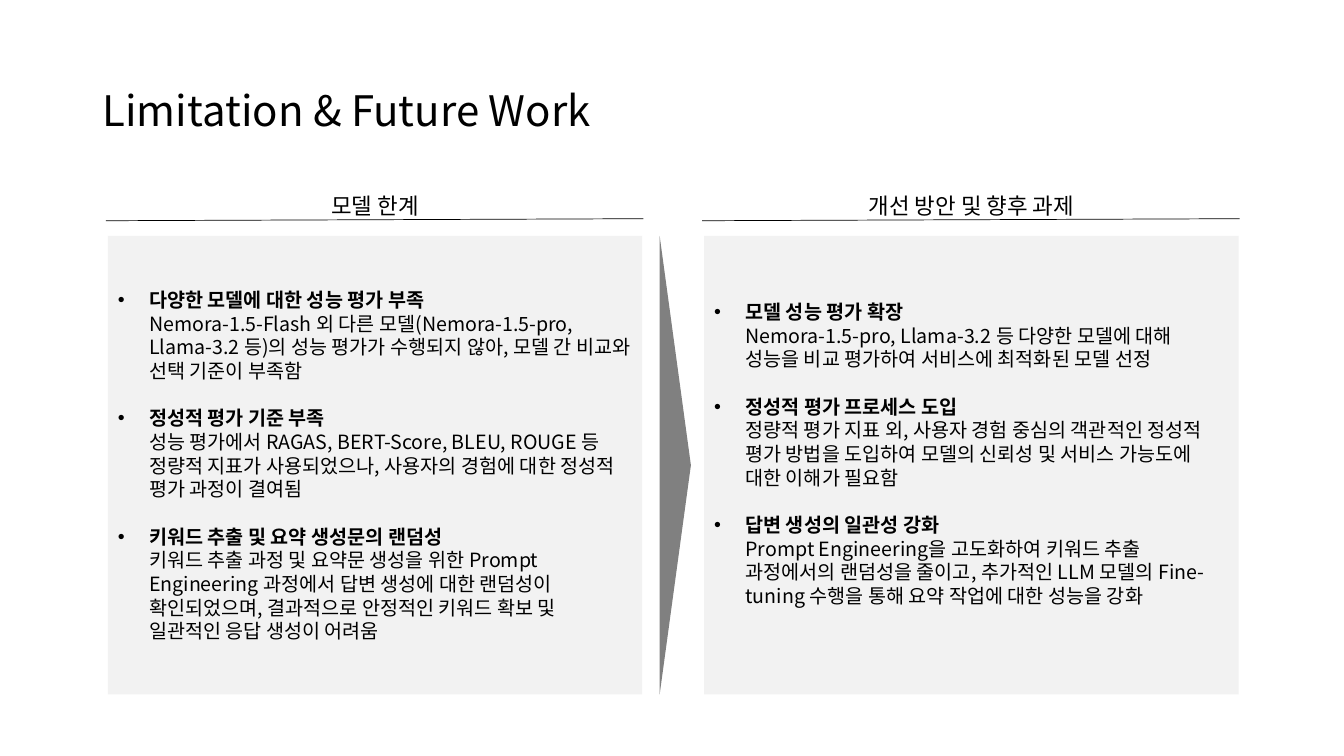
from pptx import Presentation
from pptx.dml.color import RGBColor
from pptx.enum.shapes import MSO_CONNECTOR, MSO_SHAPE
from pptx.enum.text import MSO_ANCHOR, PP_ALIGN
from pptx.oxml.ns import qn
from pptx.util import Inches, Pt
from lxml import etree

BLACK = RGBColor(0, 0, 0)
GRAY = RGBColor(0x80, 0x80, 0x80)
PANEL = RGBColor(0xF2, 0xF2, 0xF2)
FONT = "Noto Sans CJK KR"
MIDDLE = MSO_ANCHOR.MIDDLE
LEFT, CENTER = PP_ALIGN.LEFT, PP_ALIGN.CENTER
RECT, TRIANGLE = MSO_SHAPE.RECTANGLE, MSO_SHAPE.ISOSCELES_TRIANGLE
STRAIGHT = MSO_CONNECTOR.STRAIGHT

COL_LEFT, COL_PITCH, COL_W = 1.07, 5.915, 5.3
PANEL_TOP, PANEL_H = 2.34, 4.55
HEAD_TOP, HEAD_W, HEAD_H = 1.85, 2.7, 0.38
ARROW_W = 0.31
INDENT = 0.31
LINE_PITCH = 16.9

COLUMNS = [
    ("모델 한계", 0.05, [
        ("다양한 모델에 대한 성능 평가 부족",
         "Nemora-1.5-Flash 외 다른 모델(Nemora-1.5-pro, Llama-3.2 등)의 성능 평가가 "
         "수행되지 않아, 모델 간 비교와 선택 기준이 부족함"),
        ("정성적 평가 기준 부족",
         "성능 평가에서 RAGAS, BERT-Score, BLEU, ROUGE 등 정량적 지표가 사용되었으나, "
         "사용자의 경험에 대한 정성적 평가 과정이 결여됨"),
        ("키워드 추출 및 요약 생성문의 랜덤성",
         "키워드 추출 과정 및 요약문 생성을 위한 Prompt Engineering 과정에서 답변 생성에 "
         "대한 랜덤성이 확인되었으며, 결과적으로 안정적인 키워드 확보 및 일관적인 응답 "
         "생성이 어려움"),
    ]),
    ("개선 방안 및 향후 과제", 0.28, [
        ("모델 성능 평가 확장",
         "Nemora-1.5-pro, Llama-3.2 등 다양한 모델에 대해 성능을 비교 평가하여 서비스에 "
         "최적화된 모델 선정"),
        ("정성적 평가 프로세스 도입",
         "정량적 평가 지표 외, 사용자 경험 중심의 객관적인 정성적 평가 방법을 도입하여 "
         "모델의 신뢰성 및 서비스 가능도에 대한 이해가 필요함"),
        ("답변 생성의 일관성 강화",
         "Prompt Engineering을 고도화하여 키워드 추출 과정에서의 랜덤성을 줄이고, 추가적인 "
         "LLM 모델의 Fine-tuning 수행을 통해 요약 작업에 대한 성능을 강화"),
    ]),
]


def add_run(p, text, size, bold=False):
    """Add a run in the slide's font for Latin and Korean text."""
    r = p.add_run()
    r.text = text
    style = {"name": FONT, "size": Pt(size), "bold": bold}
    for key, value in style.items():
        setattr(r.font, key, value)
    r.font.color.rgb = BLACK
    etree.SubElement(r._r.get_or_add_rPr(), qn("a:ea"), typeface=FONT)


def add_label(s, box, text, size, align, spacing=1.0):
    """Add a one-line text box, centred vertically."""
    tf = s.shapes.add_textbox(*map(Inches, box)).text_frame
    tf.word_wrap = True
    tf.vertical_anchor = MIDDLE
    p = tf.paragraphs[0]
    p.alignment, p.line_spacing = align, spacing
    add_run(p, text, size)


def add_filled(s, kind, box, color):
    """Add a flat shape without outline or shadow."""
    sp = s.shapes.add_shape(kind, *map(Inches, box))
    sp.shadow.inherit = False
    sp.fill.solid()
    sp.fill.fore_color.rgb = color
    sp.line.fill.background()
    return sp


def add_rule(s, x):
    """Add the thin, slightly rising line under a column heading."""
    ends = (x - 0.02, PANEL_TOP - 0.15, x + COL_W + 0.01, PANEL_TOP - 0.17)
    line = s.shapes.add_connector(STRAIGHT, *map(Inches, ends))
    line.line.color.rgb = BLACK
    line.line.width = Pt(0.5)
    etree.SubElement(line._element.spPr, qn("a:effectLst"))


def add_bullet(p, heading, body):
    """Fill a bulleted paragraph with a bold heading above its body."""
    pPr = p._p.get_or_add_pPr()
    pPr.set("marL", str(Inches(INDENT)))
    pPr.set("indent", str(-Inches(INDENT)))
    etree.SubElement(pPr, qn("a:buFont"), typeface="Arial")
    etree.SubElement(pPr, qn("a:buChar"), char="•")
    p.alignment, p.line_spacing = LEFT, Pt(LINE_PITCH)
    add_run(p, heading, 14, True)
    p.add_line_break()
    add_run(p, body, 14)


def add_column(s, x, title, bottom, items):
    """Add a heading, its rule and the panel of bullets below."""
    head_x = x + (COL_W - HEAD_W) / 2
    add_label(s, (head_x, HEAD_TOP, HEAD_W, HEAD_H), title, 16, CENTER)
    add_rule(s, x)
    sp = add_filled(s, RECT, (x, PANEL_TOP, COL_W, PANEL_H), PANEL)
    tf = sp.text_frame
    frame = {"word_wrap": True, "vertical_anchor": MIDDLE,
             "margin_bottom": Inches(bottom)}
    for key, value in frame.items():
        setattr(tf, key, value)
    for i, (heading, body) in enumerate(items):
        p = tf.add_paragraph() if i else tf.paragraphs[0]
        add_bullet(p, heading, body)
        if i:
            p.space_before = Pt(LINE_PITCH)


def add_arrow(s):
    """Add the tall triangle pointing from the left panel to the right."""
    x = COL_LEFT + (COL_W + COL_PITCH) / 2 + 0.02
    y = PANEL_TOP + PANEL_H / 2
    box = (x - PANEL_H / 2, y - ARROW_W / 2, PANEL_H, ARROW_W)
    add_filled(s, TRIANGLE, box, GRAY).rotation = 90


def main():
    """Build the slide and save it."""
    prs = Presentation()
    prs.slide_width, prs.slide_height = Inches(13.33), Inches(7.5)
    s = prs.slides.add_slide(prs.slide_layouts[6])
    add_label(s, (0.92, 0.4, 11.5, 1.45), "Limitation &\u00a0Future Work".replace("\u00a0", " "),
              30, LEFT, 0.9)
    for i, (title, bottom, items) in enumerate(COLUMNS):
        add_column(s, COL_LEFT + i * COL_PITCH, title, bottom, items)
    add_arrow(s)
    prs.save("out.pptx")


if __name__ == "__main__":
    main()
